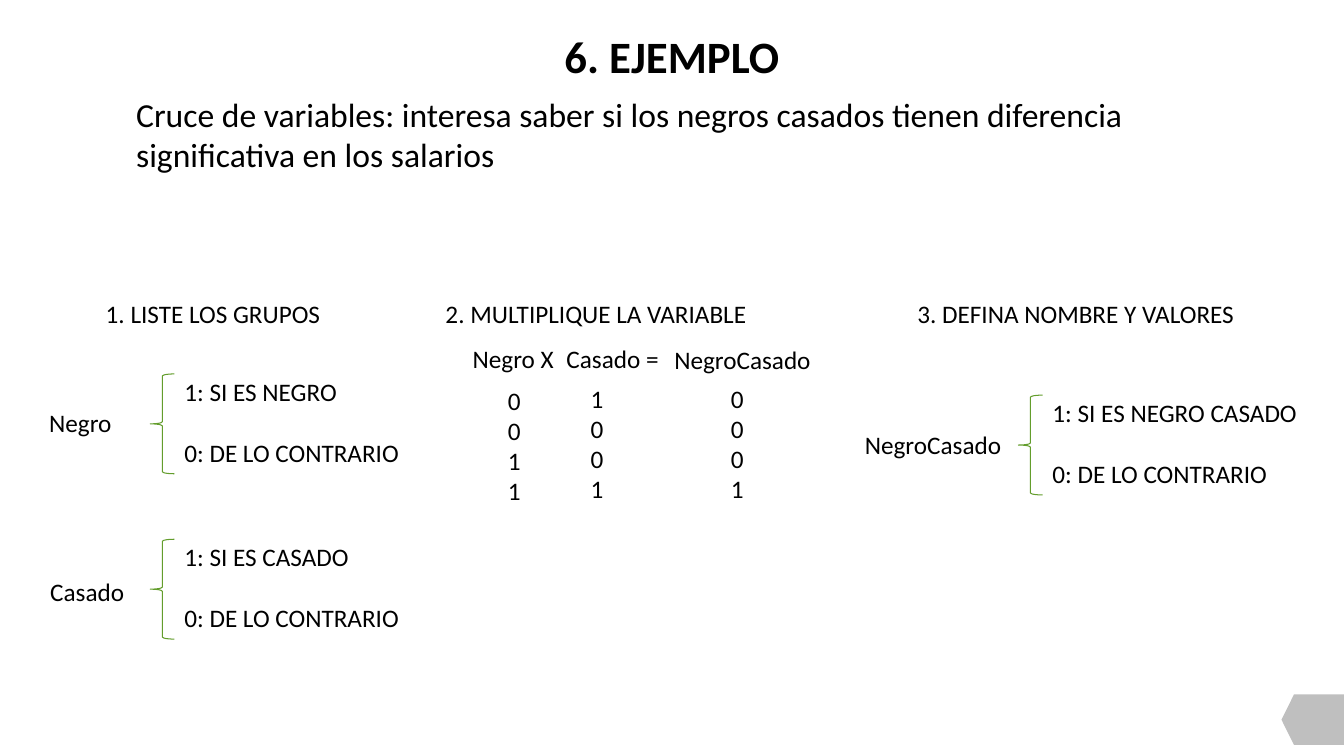
from pptx import Presentation
from pptx.dml.color import RGBColor
from pptx.enum.shapes import MSO_SHAPE
from pptx.enum.text import MSO_ANCHOR, PP_ALIGN
from pptx.util import Pt

PX = 9144  # EMU in one px, 100 px to the inch
rgb = RGBColor.from_string

prs = Presentation()
prs.slide_width, prs.slide_height = 1333 * PX, 750 * PX
s = prs.slides.add_slide(prs.slide_layouts[5])


def add_shape(kind, *at):
    sp = s.shapes.add_shape(kind, *(v * PX for v in at))
    sp.shadow.inherit = False
    return sp


def write(text, at, sp=None, size=18, bold=False, align=PP_ALIGN.LEFT, wrap=False,
          inset=(10, 5), gap=0):
    """Fill sp, or a new text box, with one paragraph per line; gap is in points."""
    sp = sp or s.shapes.add_textbox(0, 0, 0, 0)
    sp.left, sp.top, sp.width, sp.height = (v * PX for v in at)
    tf = sp.text_frame
    tf.word_wrap = wrap
    tf.vertical_anchor = MSO_ANCHOR.TOP
    tf.margin_left = tf.margin_right = inset[0] * PX
    tf.margin_top = tf.margin_bottom = inset[1] * PX
    tf.text = text
    for i, p in enumerate(tf.paragraphs):
        p.alignment = align
        p.space_before = Pt(gap if i else 0)
        f = p.runs[0].font
        f.name, f.size, f.bold = "Calibri", Pt(size), bold
        f.color.rgb = rgb("000000")


corner = add_shape(MSO_SHAPE.FLOWCHART_OFFPAGE_CONNECTOR, 1277, 683, 50, 62)
corner.rotation = 90
corner.fill.solid()
corner.fill.fore_color.rgb = rgb("BFBFBF")
corner.line.fill.background()

write("6. EJEMPLO", (189, 23, 955, 64), sp=s.shapes.title, size=32, bold=True,
      align=PP_ALIGN.CENTER, wrap=True)
write("Cruce de variables: interesa saber si los negros casados tienen diferencia "
      "significativa en los salarios", (122, 86, 1049, 93), size=24, wrap=True,
      inset=(13, 7))

# Step headings
for heading, left, width in [("1. LISTE LOS GRUPOS", 95, 235),
                             ("2. MULTIPLIQUE LA VARIABLE", 432, 321),
                             ("3. DEFINA NOMBRE Y VALORES", 900, 337)]:
    write(heading, (left, 291, width, 40))

# Dummy variables: name, brace and its two values
for name, name_at, brace_left, brace_top, case, width in [
        ("Negro", (39, 399, 83, 40), 149, 371, "NEGRO", 235),
        ("Casado", (40, 567, 94, 40), 149, 535, "CASADO", 235),
        ("NegroCasado", (848, 421, 163, 40), 1010, 392, "NEGRO CASADO", 265)]:
    write(name, name_at)
    brace = add_shape(MSO_SHAPE.LEFT_BRACE, brace_left, brace_top, 24, 99)
    brace.fill.background()
    brace.line.color.rgb = rgb("639D2C")
    brace.line.width = Pt(0.75)
    write(f"1: SI ES {case}\n0: DE LO CONTRARIO",
          (brace_left + 24, brace_top - 3, width, 101), gap=22)

# Product of the variables, one column each
for label, label_at, digits, digits_left, digits_top in [
        ("Negro X", (459, 336, 102, 40), "0011", 494, 377),
        ("Casado =", (552, 336, 113, 40), "1001", 576, 375),
        ("NegroCasado", (659, 337, 163, 40), "0001", 715, 375)]:
    write(label, label_at)
    write("\n".join(digits), (digits_left, digits_top, 33, 131))

prs.save("out.pptx")
